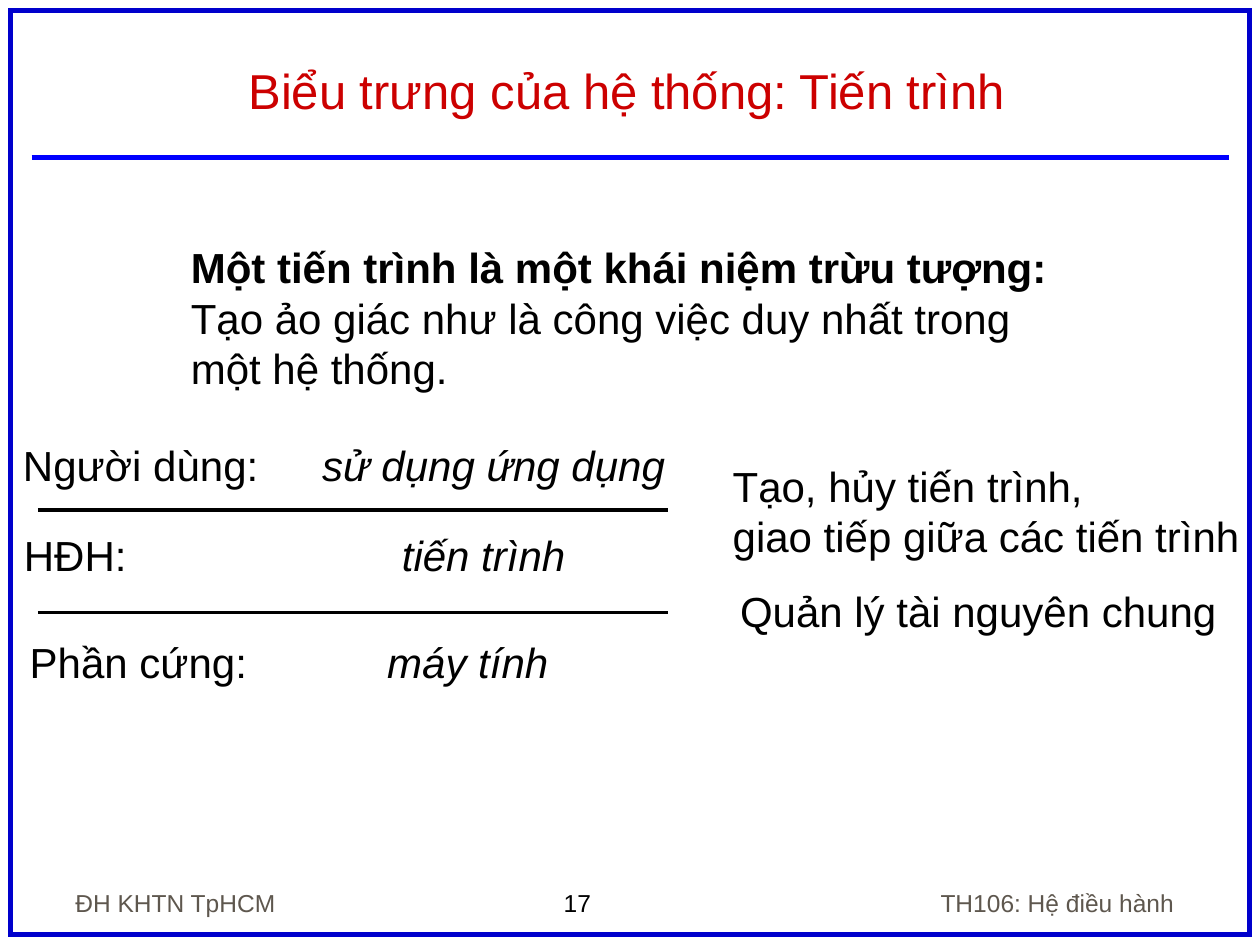
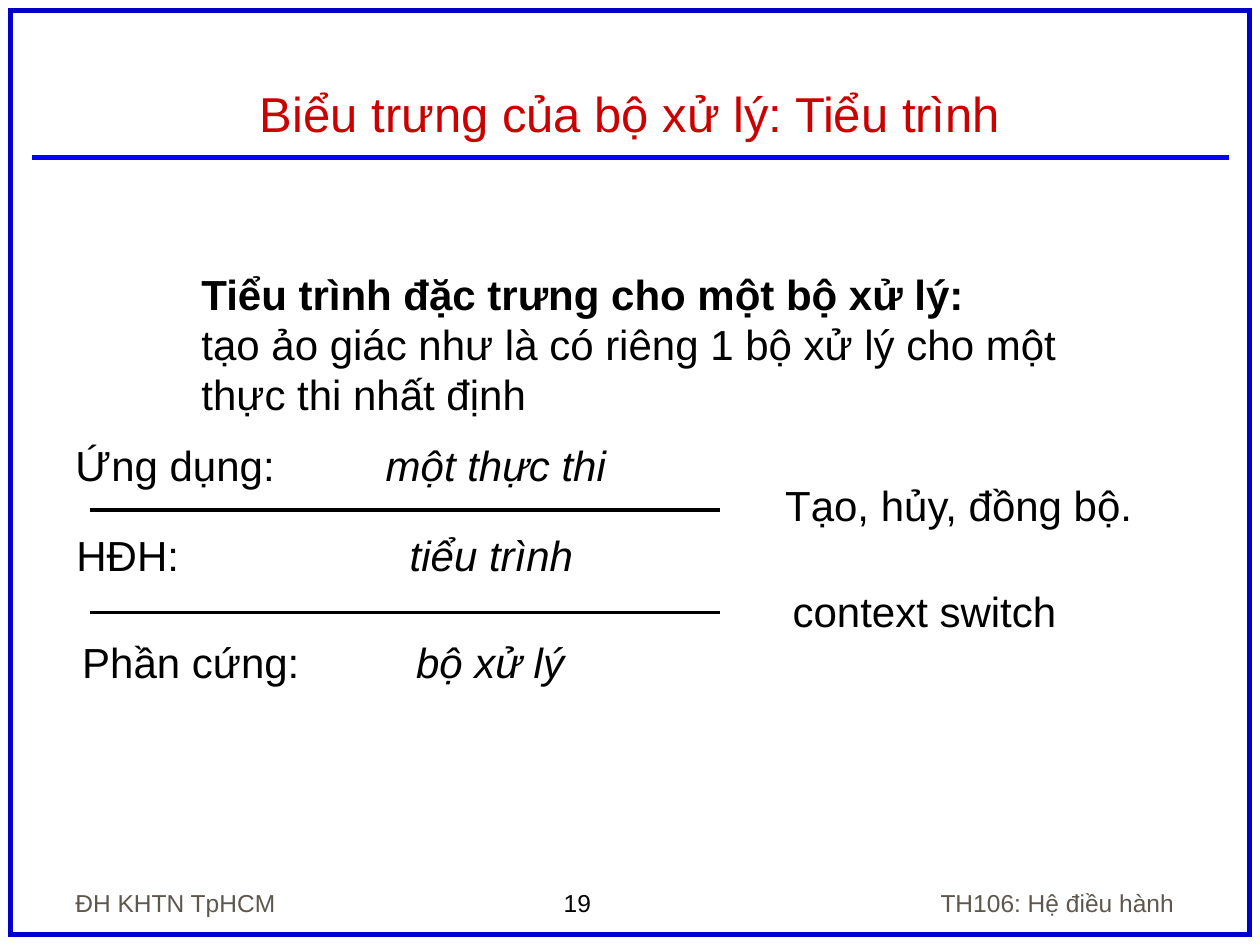
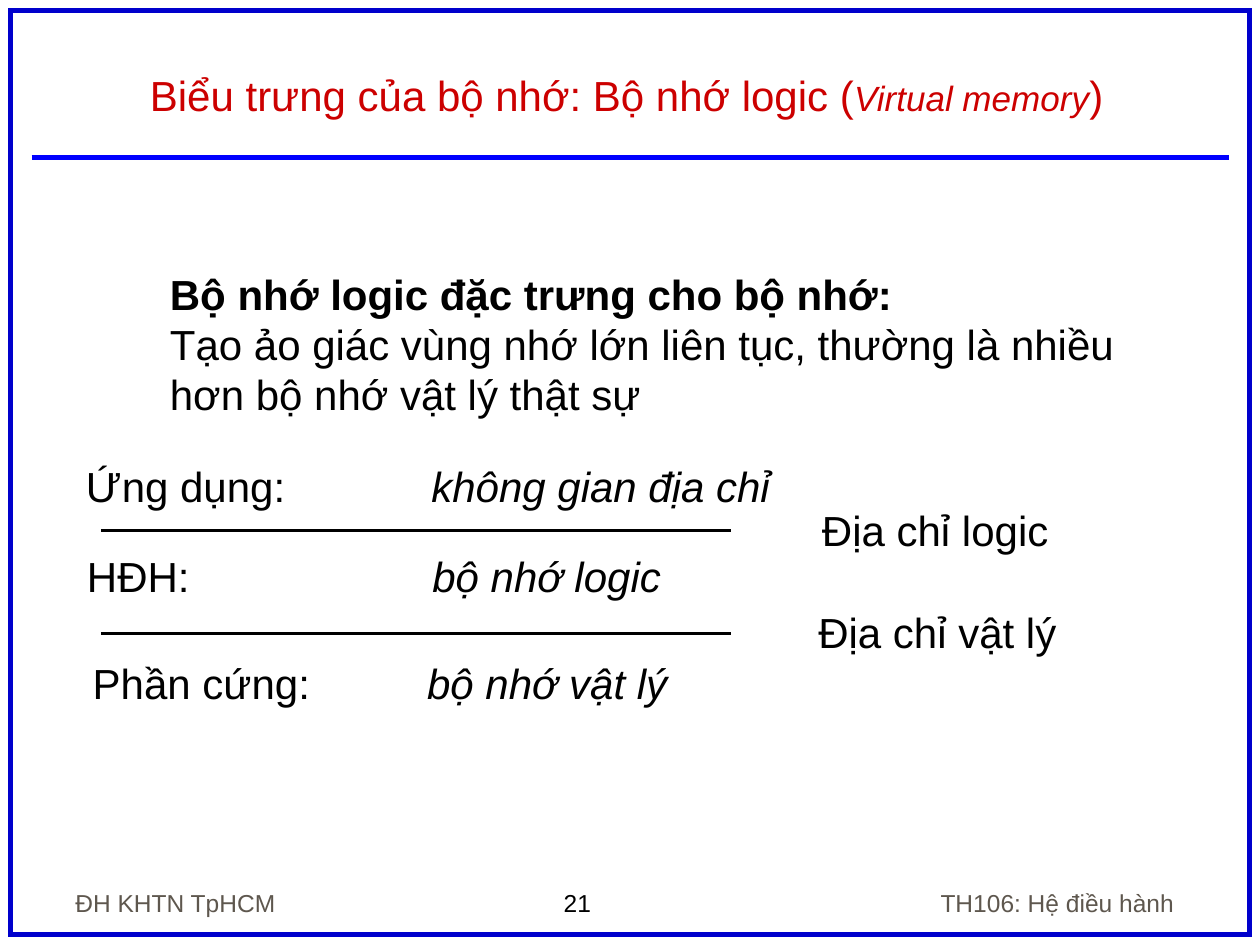
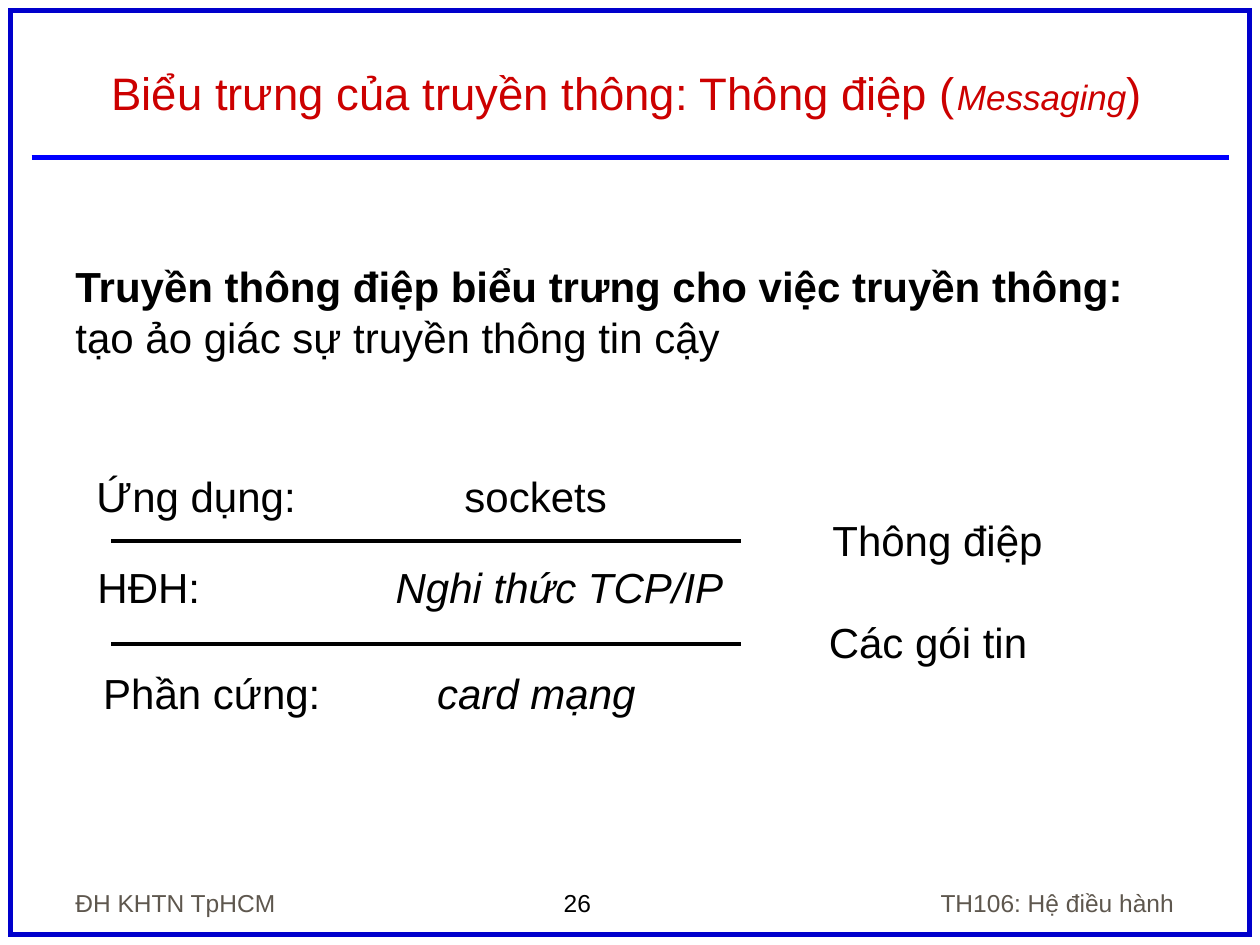
from dataclasses import dataclass
from typing import NamedTuple

from lxml.etree import SubElement
from pptx import Presentation
from pptx.dml.color import RGBColor
from pptx.enum.shapes import MSO_CONNECTOR as Connector, MSO_SHAPE as Preset
from pptx.enum.text import MSO_ANCHOR as Anchor, MSO_AUTO_SIZE as AutoSize, PP_ALIGN as Align
from pptx.oxml.ns import qn
from pptx.util import Inches, Pt

# Shared look: a grid of 120 columns by 90 rows
WIDTH, HEIGHT = Inches(10), Inches(7.5)
COLUMNS, ROWS = 120, 90
FONT = "Arial"
COLORS = {"title": "CC0000", "frame": "0000CC", "rule": "0000FF",
          "text": "000000", "footer": "5E574E"}
INSET = 1.2
BODY_SIZE, FOOTER_SIZE, TERM_SIZE = 24, 14, 20
LINE_HEIGHT = 6

# Layer diagram, measured from its top left corner
LAYER_OFFSETS = ((0, 0), (0.1, 8.6), (0.65, 18.75))
DIVIDER_ROWS = (7.3, 17.1)
DIVIDER_INDENT, DIVIDER_LENGTH = 2.6, 60


class Box(NamedTuple):
    col: float
    row: float
    cols: float
    rows: float


class Run(NamedTuple):
    text: str
    bold: bool = False
    italic: bool = False
    size: float | None = None


class Layer(NamedTuple):
    label: str
    value: str
    value_col: float
    cols: float
    italic: bool = True


class Note(NamedTuple):
    lines: tuple[str, ...]
    box: Box  # relative to the diagram


@dataclass
class Page:
    number: int
    title: list[Run]
    intro: list[list[Run]]
    intro_box: Box
    origin: tuple[float, float]
    layers: list[Layer]
    notes: list[Note]
    title_size: float = 28
    title_box: Box = Box(5.3, 3, 108.75, 9)


PAGES = [
    Page(
        17,
        [Run("Biểu trưng của hệ thống: Tiến trình")],
        [[Run("Một tiến trình là một khái niệm trừu tượng:", bold=True)],
         [Run("Tạo ảo giác như là công việc duy nhất trong một hệ thống.")]],
        Box(17, 22.45, 84, 15.6),
        (1, 41.25),
        [Layer("Người dùng:", "sử dụng ứng dụng", 30.7, 64),
         Layer("HĐH:", "tiến trình", 38.3, 54.5),
         Layer("Phần cứng:", "máy tính", 36.9, 52.2)],
        [Note(("Tạo, hủy tiến trình,", "giao tiếp giữa các tiến trình"),
              Box(67.6, 2, 51.2, 10.8)),
         Note(("Quản lý tài nguyên chung",), Box(68.3, 13.95, 48.5, LINE_HEIGHT))],
    ),
    Page(
        19,
        [Run("Biểu trưng của bộ xử lý: Tiểu trình")],
        [[Run("Tiểu trình đặc trưng cho một bộ xử lý:", bold=True)],
         [Run("tạo ảo giác như là có riêng 1 bộ xử lý cho một thực thi nhất định")]],
        Box(18, 24.95, 86, 15.6),
        (6, 41.25),
        [Layer("Ứng dụng:", "một thực thi", 36.75, 53.4),
         Layer("HĐH:", "tiểu trình", 39.05, 50.2),
         Layer("Phần cứng:", "bộ xử lý", 39.65, 48.7)],
        [Note(("Tạo, hủy, đồng bộ.",), Box(67.6, 3.8, 36.5, LINE_HEIGHT)),
         Note(("context switch",), Box(68.3, 13.95, 28.2, LINE_HEIGHT))],
        title_box=Box(3, 2, 114, 12.1),
    ),
    Page(
        21,
        [Run("Biểu trưng của bộ nhớ: Bộ nhớ logic ("),
         Run("Virtual memory", italic=True, size=TERM_SIZE), Run(")")],
        [[Run("Bộ nhớ logic đặc trưng cho bộ nhớ:", bold=True)],
         [Run("Tạo ảo giác vùng nhớ lớn liên tục, thường là nhiều "
              "hơn bộ nhớ vật lý thật sự")]],
        Box(15, 24.95, 93, 15.6),
        (7, 43.25),
        [Layer("Ứng dụng:", "không gian địa chỉ", 41.1, 68.1),
         Layer("HĐH:", "bộ nhớ logic", 41.2, 57.5),
         Layer("Phần cứng:", "bộ nhớ vật lý", 40.7, 57.5)],
        [Note(("Địa chỉ logic",), Box(70.1, 4.2, 24.7, LINE_HEIGHT)),
         Note(("Địa chỉ vật lý",), Box(69.75, 13.9, 25.8, LINE_HEIGHT))],
        title_size=24,
    ),
    Page(
        26,
        [Run("Biểu trưng của truyền thông: Thông điệp ("),
         Run("Messaging", italic=True, size=TERM_SIZE), Run(")")],
        [[Run("Truyền thông điệp biểu trưng cho việc truyền thông:", bold=True),
          Run(" tạo ảo giác sự truyền thông tin cậy")]],
        Box(6, 24.25, 102.6, 10.8),
        (8, 44.25),
        [Layer("Ứng dụng:", "sockets", 44.25, 51.5, italic=False),
         Layer("HĐH:", "Nghi thức TCP/IP", 37.7, 62.5),
         Layer("Phần cứng:", "card mạng", 41.65, 53.5)],
        [Note(("Thông điệp",), Box(70.1, 4.15, 23.1, LINE_HEIGHT)),
         Note(("Các gói tin",), Box(69.75, 13.9, 22, LINE_HEIGHT))],
        title_size=26,
    ),
]


def x(cols: float) -> int:
    return round(WIDTH * cols / COLUMNS)


def y(rows: float) -> int:
    return round(HEIGHT * rows / ROWS)


def place(box: Box) -> tuple[int, int, int, int]:
    return x(box.col), y(box.row), x(box.cols), y(box.rows)


def rgb(name: str) -> RGBColor:
    return RGBColor.from_string(COLORS[name])


def add_text(s, box: Box, paragraphs: list[list[Run]], *, size: float = BODY_SIZE,
             color: str = "text", align=Align.LEFT, anchor=Anchor.TOP,
             wrap: bool = True, grow: bool = False, tab: float | None = None) -> None:
    tf = s.shapes.add_textbox(*place(box)).text_frame
    tf.word_wrap = wrap
    tf.auto_size = AutoSize.SHAPE_TO_FIT_TEXT if grow else AutoSize.NONE
    tf.vertical_anchor = anchor
    for i, runs in enumerate(paragraphs):
        p = tf.add_paragraph() if i else tf.paragraphs[0]
        p.alignment = align
        if tab is not None:
            tabs = SubElement(p._p.get_or_add_pPr(), qn("a:tabLst"))
            SubElement(tabs, qn("a:tab"), pos=str(x(tab)), algn="l")
        for run in runs:
            r = p.add_run()
            r.text = run.text
            r.font.name = FONT
            r.font.size = Pt(run.size or size)
            r.font.bold, r.font.italic = run.bold, run.italic
            r.font.color.rgb = rgb(color)


def add_line(s, col: float, row: float, cols: float, *, color: str, width: float) -> None:
    line = s.shapes.add_connector(Connector.STRAIGHT, x(col), y(row), x(col + cols), y(row))
    line.line.color.rgb = rgb(color)
    line.line.width = Pt(width)
    SubElement(line._element.spPr, qn("a:effectLst"))


def add_base(s, page: Page) -> None:
    # Frame with square corners, and title rule
    sp = s.shapes.add_shape(Preset.RECTANGLE, *place(Box(1, 1, 118, 88)))
    sp.shadow.inherit = False
    sp.fill.background()
    sp.line.color.rgb = rgb("frame")
    sp.line.width = Pt(3)
    SubElement(sp.line._ln, qn("a:miter"), lim="800000")
    add_line(s, 3, 15, 114, color="rule", width=3)
    # Footer
    add_text(s, Box(52.5, 84, 13, 4.1), [[Run(str(page.number))]], size=FOOTER_SIZE)
    for text, box, align in (("ĐH KHTN TpHCM", Box(6, 82, 25, 6), Align.LEFT),
                             ("TH106: Hệ điều hành", Box(80, 82, 33, 6), Align.RIGHT)):
        add_text(s, box, [[Run(text)]], size=FOOTER_SIZE, color="footer",
                 align=align, anchor=Anchor.BOTTOM)
    # Title
    add_text(s, page.title_box, [page.title], size=page.title_size, color="title",
             align=Align.CENTER, anchor=Anchor.BOTTOM)


def add_diagram(s, page: Page) -> None:
    left, top = page.origin
    # Lines between the layers
    for row in DIVIDER_ROWS:
        add_line(s, left + DIVIDER_INDENT, top + row, DIVIDER_LENGTH, color="text", width=2)
    # Layers: label, tab, value
    for layer, (dx, dy) in zip(page.layers, LAYER_OFFSETS):
        col = left + dx
        runs = [Run(layer.label + "\t"), Run(layer.value, italic=layer.italic)]
        add_text(s, Box(col, top + dy, layer.cols, LINE_HEIGHT), [runs], wrap=False,
                 grow=True, tab=layer.value_col - col - INSET)
    # Notes beside the lines
    for note in page.notes:
        box = note.box._replace(col=left + note.box.col, row=top + note.box.row)
        add_text(s, box, [[Run(line)] for line in note.lines])


def main() -> None:
    prs = Presentation()
    prs.slide_width, prs.slide_height = WIDTH, HEIGHT
    for page in PAGES:
        s = prs.slides.add_slide(prs.slide_layouts[6])
        add_base(s, page)
        add_text(s, page.intro_box, page.intro, grow=True)
        add_diagram(s, page)
    prs.save("out.pptx")


if __name__ == "__main__":
    main()
